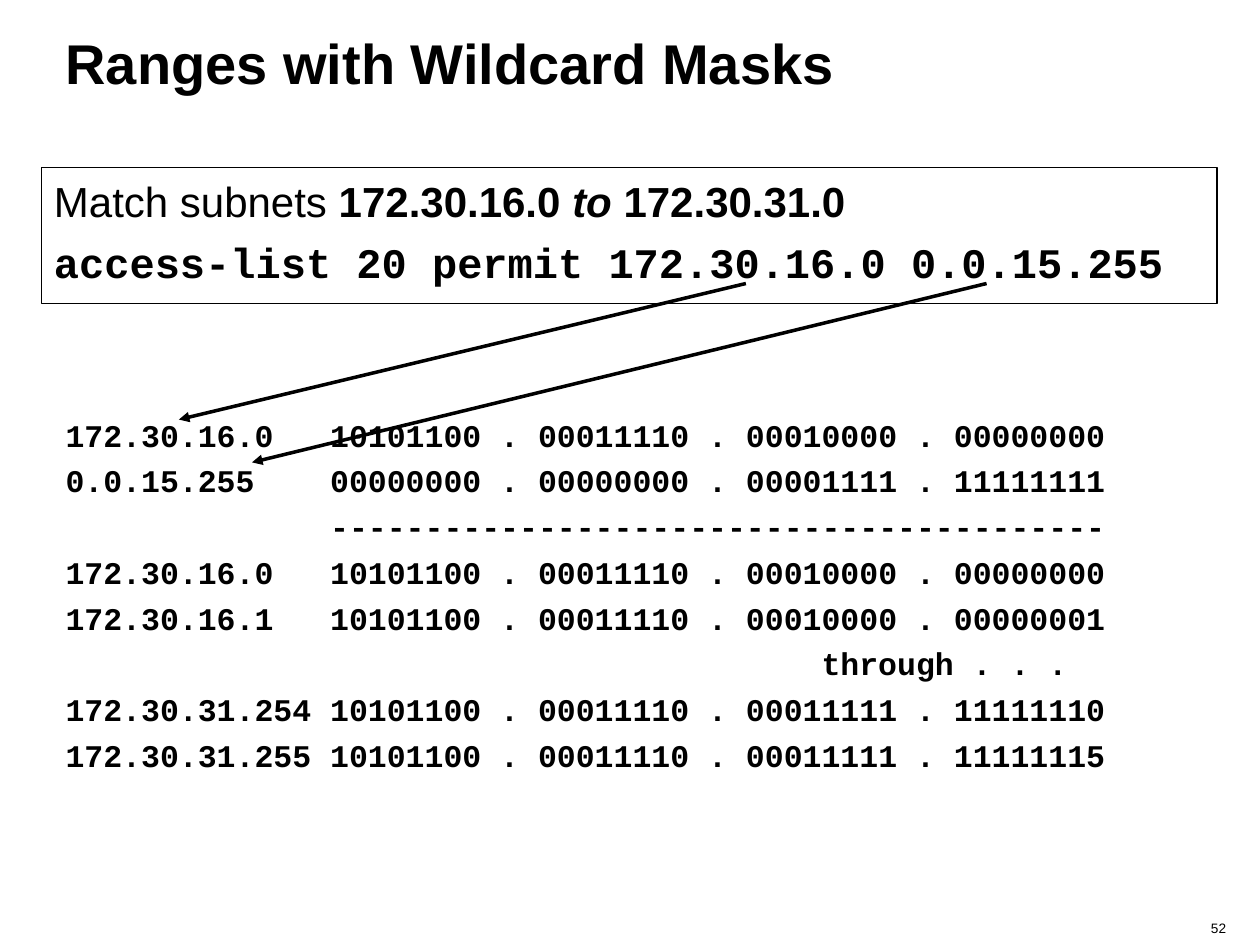
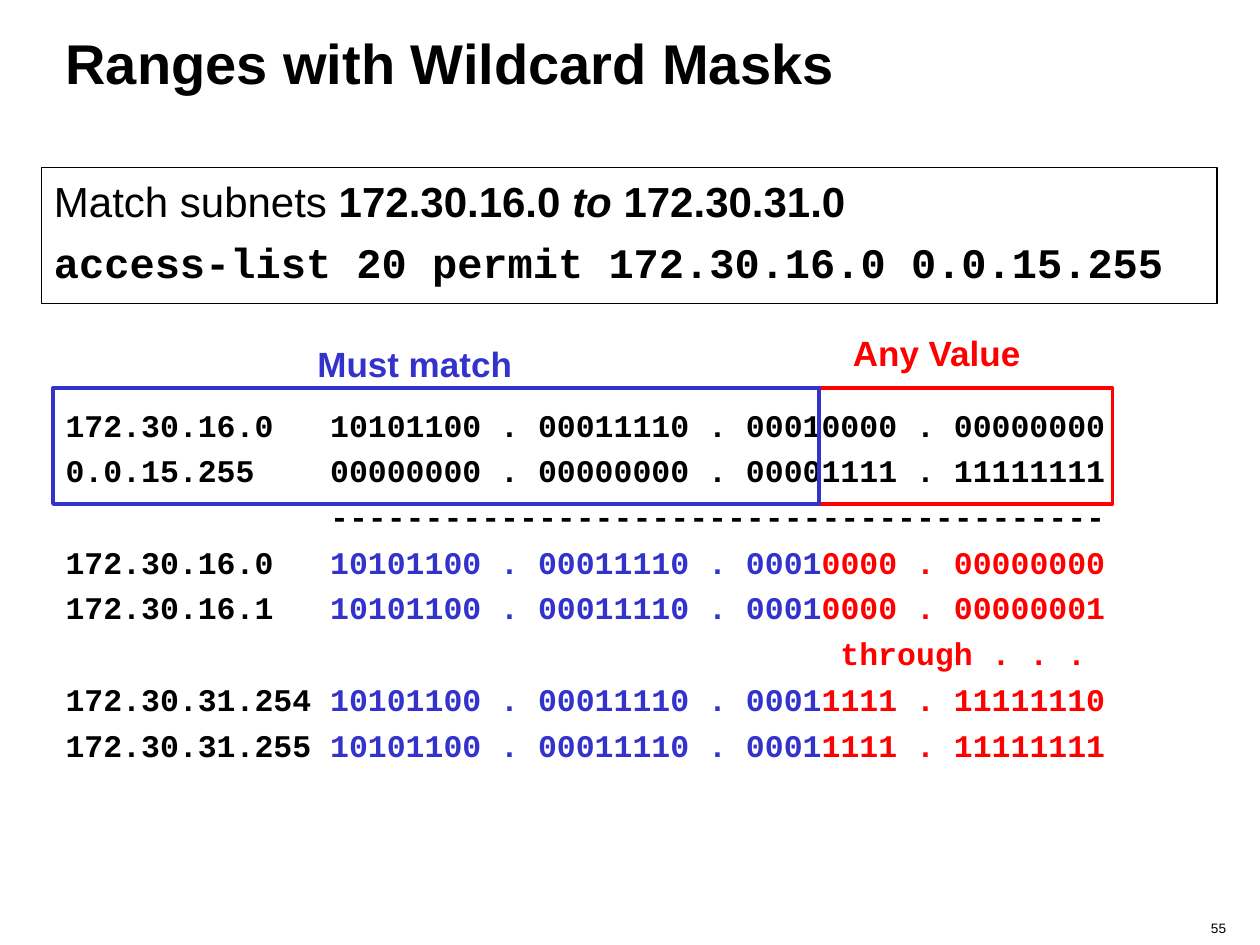
"""Build two slides on address ranges with wildcard masks."""
from dataclasses import dataclass

from lxml import etree
from pptx import Presentation
from pptx.dml.color import RGBColor
from pptx.enum.shapes import MSO_CONNECTOR, MSO_SHAPE
from pptx.enum.text import MSO_ANCHOR, MSO_AUTO_SIZE, PP_ALIGN
from pptx.oxml.ns import qn
from pptx.util import Inches, Pt

RECTANGLE = MSO_SHAPE.RECTANGLE
STRAIGHT = MSO_CONNECTOR.STRAIGHT
TOP, MIDDLE = MSO_ANCHOR.TOP, MSO_ANCHOR.MIDDLE
LEFT, RIGHT = PP_ALIGN.LEFT, PP_ALIGN.RIGHT
NO_AUTOFIT = MSO_AUTO_SIZE.NONE


@dataclass(frozen=True)
class Theme:
    """Colours, fonts, type sizes and line weights of the slides."""
    ink: RGBColor = RGBColor(0x00, 0x00, 0x00)
    match: RGBColor = RGBColor(0x33, 0x33, 0xCC)
    free: RGBColor = RGBColor(0xFF, 0x00, 0x00)
    sans: str = "Arial"
    mono: str = "Courier New"
    title: float = 32
    rule: float = 24
    label: float = 20
    bits: float = 18
    number: float = 7.8
    frame_line: float = 0.75
    mark_line: float = 2


THEME = Theme()
TITLE = "Ranges with Wildcard Masks"
SUBNETS = [("Match subnets ", False, False), ("172.30.16.0 ", True, False),
           ("to", True, True), (" 172.30.31.0", True, False)]
COMMAND = "access-list 20 permit 172.30.16.0 0.0.15.255"

MASK_ROWS = [
    ("172.30.16.0", "10101100 . 00011110 . 0001", "0000 . 00000000"),
    ("0.0.15.255", "00000000 . 00000000 . 0000", "1111 . 11111111"),
]
DIVIDER = ("", "-" * 41, "")
FIRST_ROWS = [
    ("172.30.16.0", "10101100 . 00011110 . 0001", "0000 . 00000000"),
    ("172.30.16.1", "10101100 . 00011110 . 0001", "0000 . 00000001"),
]
THROUGH = ("", "", "through . . .")
NEXT_TO_LAST = ("172.30.31.254", "10101100 . 00011110 . 0001", "1111 . 11111110")
LAST_ADDRESS, LAST_MATCH = "172.30.31.255", "10101100 . 00011110 . 0001"

SLIDES = [
    {"number": "52", "bits_top": 3.25, "last_free": "1111 . 11111115",
     "through_column": 40, "colored": False,
     "arrows": [((5.92, 2.25), (1.42, 3.33)), ((7.83, 2.25), (2, 3.67))],
     "zones": []},
    {"number": "55", "bits_top": 3.17, "last_free": "1111 . 11111111",
     "through_column": 41, "colored": True, "arrows": [],
     "zones": [("Any Value", THEME.free, (6.5, 2.33), (6.67, 2.58)),
               ("Must match", THEME.match, (0.42, 6.08), (2.42, 2.67))]},
]
BITS_COLUMN = 14
CHARACTER_WIDTH = 0.6 * THEME.bits / 72
BITS_BOTTOM = 7.17
ZONE_TOP, ZONE_HEIGHT = 3.08, 0.92


def place(part, left, top, width, height):
    part.left, part.top = Inches(left), Inches(top)
    part.width, part.height = Inches(width), Inches(height)


def style(paragraph, size, name=THEME.sans, bold=None, color=THEME.ink, align=LEFT):
    paragraph.alignment = align
    font = paragraph.font
    font.size, font.name, font.bold = Pt(size), name, bold
    if color is not None:
        font.color.rgb = color


def add_label(slide, text, box, size, **look):
    frame = slide.shapes.add_textbox(*map(Inches, box)).text_frame
    frame.word_wrap = True
    frame.text = text
    style(frame.paragraphs[0], size, **look)


def add_frame(slide, box, color, weight):
    frame = slide.shapes.add_shape(RECTANGLE, *map(Inches, box))
    frame.shadow.inherit = False
    frame.fill.background()
    frame.line.color.rgb = color
    frame.line.width = Pt(weight)
    return frame


def add_title(slide):
    title = slide.shapes.title
    place(title, 0.42, 0.16, 9.25, 0.67)
    title.text_frame.text = TITLE
    title.text_frame.auto_size = NO_AUTOFIT
    title.text_frame.vertical_anchor = MIDDLE
    style(title.text_frame.paragraphs[0], THEME.title, bold=True)


def set_column(paragraph, column, hanging):
    margin = Inches(column * CHARACTER_WIDTH)
    properties = paragraph._p.get_or_add_pPr()
    properties.set("marL", str(margin))
    properties.set("indent", str(-margin if hanging else 0))
    etree.SubElement(properties, qn("a:buNone"))


def add_bits(slide, content):
    body = slide.placeholders[1]
    place(body, 0.42, content["bits_top"], 9.33, BITS_BOTTOM - content["bits_top"])
    frame = body.text_frame
    frame.auto_size = NO_AUTOFIT
    last = (LAST_ADDRESS, LAST_MATCH, content["last_free"])
    rows = [*MASK_ROWS, DIVIDER, *FIRST_ROWS, THROUGH, NEXT_TO_LAST, last]
    for index, row in enumerate(rows):
        address, match, free = row
        lead = address + "\t" if address else ""
        column = content["through_column"] if row == THROUGH else BITS_COLUMN
        paragraph = frame.add_paragraph() if index else frame.paragraphs[0]
        paragraph.space_before = Pt(4.5 if index else 0)
        set_column(paragraph, column, hanging=bool(address))
        if content["colored"] and index > len(MASK_ROWS):
            style(paragraph, THEME.bits, THEME.mono, True, None)
            parts = [(lead, THEME.ink), (match, THEME.match), (free, THEME.free)]
            for text, color in parts:
                if text:
                    run = paragraph.add_run()
                    run.text = text
                    run.font.color.rgb = color
        else:
            style(paragraph, THEME.bits, THEME.mono, True)
            paragraph.add_run().text = lead + match + free


def add_rule(slide):
    rule = add_frame(slide, (0.33, 1.33, 9.33, 1.08), THEME.ink, THEME.frame_line)
    frame = rule.text_frame
    frame.word_wrap = True
    frame.vertical_anchor = TOP
    frame.margin_top = Inches(0.06)
    subnets, command = frame.paragraphs[0], frame.add_paragraph()
    style(subnets, THEME.rule)
    for text, bold, italic in SUBNETS:
        run = subnets.add_run()
        run.text = text
        run.font.bold, run.font.italic = bold, italic
    command.space_before = Pt(6)
    style(command, THEME.rule, THEME.mono, True)
    command.add_run().text = COMMAND


def add_arrow(slide, start, end):
    arrow = slide.shapes.add_connector(STRAIGHT, *map(Inches, (*start, *end)))
    arrow.line.color.rgb = THEME.ink
    arrow.line.width = Pt(THEME.mark_line)
    properties = arrow._element.spPr
    etree.SubElement(properties.find(qn("a:ln")), qn("a:tailEnd"), type="triangle")
    etree.SubElement(properties, qn("a:effectLst"))


def build_slide(deck, content):
    slide = deck.slides.add_slide(deck.slide_layouts[1])
    add_label(slide, content["number"], (8.83, 7.25, 1, 0.25), THEME.number, align=RIGHT)
    add_title(slide)
    add_bits(slide, content)
    add_rule(slide)
    for start, end in content["arrows"]:
        add_arrow(slide, start, end)
    for name, color, (left, width), label_corner in content["zones"]:
        add_frame(slide, (left, ZONE_TOP, width, ZONE_HEIGHT), color, THEME.mark_line)
        add_label(slide, name, (*label_corner, 1.92, 0.44), THEME.label, bold=True, color=color)


def main():
    deck = Presentation()
    deck.slide_width, deck.slide_height = Inches(10), Inches(7.5)
    for content in SLIDES:
        build_slide(deck, content)
    deck.save("out.pptx")


if __name__ == "__main__":
    main()
